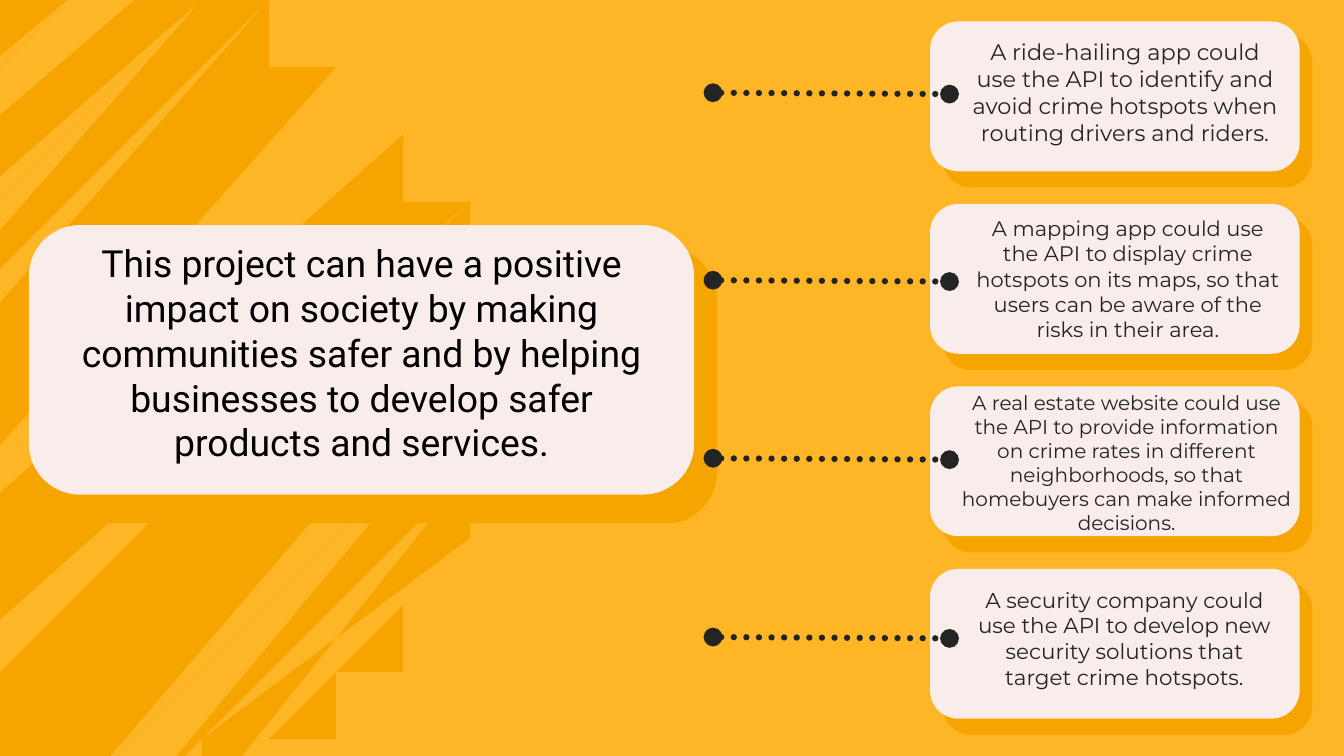
from dataclasses import dataclass
from math import sqrt

from lxml import etree
from pptx import Presentation, util as u
from pptx.dml.color import RGBColor
from pptx.enum import dml, shapes, text
from pptx.oxml.ns import qn


@dataclass(frozen=True)
class Theme:
    back: str = "FEB626"
    shade: str = "F6A400"
    card: str = "F8EDEB"
    ink: str = "242424"
    black: str = "000000"
    main: float = 40
    line: float = 6.75
    body: str = "Montserrat"
    head: str = "Roboto"


THEME = Theme()
MAIN = ("This project can have a positive impact on society by making communities "
        "safer and by helping businesses to develop safer products and services.")
# text, size, box (left, top, width, height)
CASES = [
    ("A ride-hailing app could use the API to identify and avoid crime hotspots "
     "when routing drivers and riders.", 24, (14.44, 0.57, 4.6, 1.62)),
    ("A mapping app could use the API to display crime hotspots on its maps, so "
     "that users can be aware of the risks in their area.", 22.5, (14.47, 3.21, 4.63, 1.9)),
    ("A real estate website could use the API to provide information on crime rates "
     "in different neighborhoods, so that homebuyers can make informed decisions.",
     21.5, (14.31, 5.81, 4.91, 2.17)),
    ("A security company could use the API to develop new security solutions that "
     "target crime hotspots.", 23, (14.55, 8.73, 4.37, 1.55)),
]
CARD_TOP, CARD_STEP = 0.32, 2.715
LINK_TOPS = (1.38, 4.17, 6.82, 9.48)


def inches(box):
    return [u.Inches(n) for n in box]


def paint(shape, color):
    shape.shadow.inherit = False
    shape.fill.solid()
    shape.fill.fore_color.rgb = RGBColor.from_string(color)
    shape.line.fill.background()


def add_panel(slide, box, curve, color):
    panel = slide.shapes.add_shape(
        shapes.MSO_SHAPE.ROUNDED_RECTANGLE, *inches(box))
    panel.adjustments[0] = curve / box[3]
    paint(panel, color)


def add_card(slide, box, curve, shift, extra):
    """Draw a rounded card over a shade that is moved by shift and a bit taller."""
    left, top, width, height = box
    shade = (left + shift, top + shift, width, height + extra)
    add_panel(slide, shade, curve, THEME.shade)
    add_panel(slide, box, curve, THEME.card)


def add_text(slide, words, box, size, font, color, inset=(0, 0)):
    frame = slide.shapes.add_textbox(*inches(box)).text_frame
    side, edge = inches(inset)
    form = {"word_wrap": True, "vertical_anchor": text.MSO_ANCHOR.TOP,
            "margin_left": side, "margin_right": side,
            "margin_top": edge, "margin_bottom": edge}
    for name, value in form.items():
        setattr(frame, name, value)
    par = frame.paragraphs[0]
    par.alignment = text.PP_ALIGN.CENTER
    run = par.add_run()
    run.text = words
    for name, value in {"size": u.Pt(size), "name": font}.items():
        setattr(run.font, name, value)
    run.font.color.rgb = RGBColor.from_string(color)


def add_link(slide, start, end):
    """Draw a dotted line with a round dot at each end."""
    link = slide.shapes.add_connector(
        shapes.MSO_CONNECTOR.STRAIGHT, *inches(start + end))
    link.line.color.rgb = RGBColor.from_string(THEME.ink)
    link.line.width = u.Pt(THEME.line)
    link.line.dash_style = dml.MSO_LINE.ROUND_DOT
    props = link.line._get_or_add_ln()
    props.set("cap", "rnd")
    for tag in ("a:headEnd", "a:tailEnd"):
        etree.SubElement(props, qn(tag), type="oval")
    etree.SubElement(link._element.spPr, qn("a:effectLst"))


def add_stripes(slide, mid=(1.12, 5.75), radius=6.0, count=24,
                first=-1.38, step=0.711, width=0.36, parts=4):
    """Fill a disc with slanted stripes, each between two values of x + y."""
    def chord(total, side):
        half = (total - sum(mid)) / 2
        reach = side * sqrt(radius ** 2 / 2 - half ** 2)
        return mid[0] + half + reach, mid[1] + half - reach

    def stripe(start):
        sums = [start + width * i / parts for i in range(parts + 1)]
        return ([chord(s, 1) for s in sums]
                + [chord(s, -1) for s in reversed(sums)])

    bands = [stripe(first + step * i) for i in range(count)]
    form = slide.shapes.build_freeform(*bands[0][0], scale=u.Inches(1))
    for band in bands:
        form.move_to(*band[0])
        form.add_line_segments(band[1:], close=True)
    paint(form.convert_to_shape(), THEME.shade)


def main():
    deck = Presentation()
    deck.slide_width, deck.slide_height = inches((20, 11.25))
    slide = deck.slides.add_slide(deck.slide_layouts[6])
    fill = slide.background.fill
    fill.solid()
    fill.fore_color.rgb = RGBColor.from_string(THEME.back)

    add_stripes(slide)
    add_card(slide, (0.43, 3.35, 9.9, 4.01), 0.76, 0.34, 0.09)
    for i in range(len(CASES)):
        box = (13.84, CARD_TOP + CARD_STEP * i, 5.5, 2.23)
        add_card(slide, box, 0.42, 0.19, 0.05)
    for top in LINK_TOPS:
        add_link(slide, (10.61, top), (14.13, top + 0.02))
    for words, size, box in CASES:
        add_text(slide, words, box, size, THEME.body, THEME.ink)
    add_text(slide, MAIN, (0.94, 3.53, 8.88, 3.47), THEME.main,
             THEME.head, THEME.black, (0.1, 0.05))
    deck.save("out.pptx")


if __name__ == "__main__":
    main()
